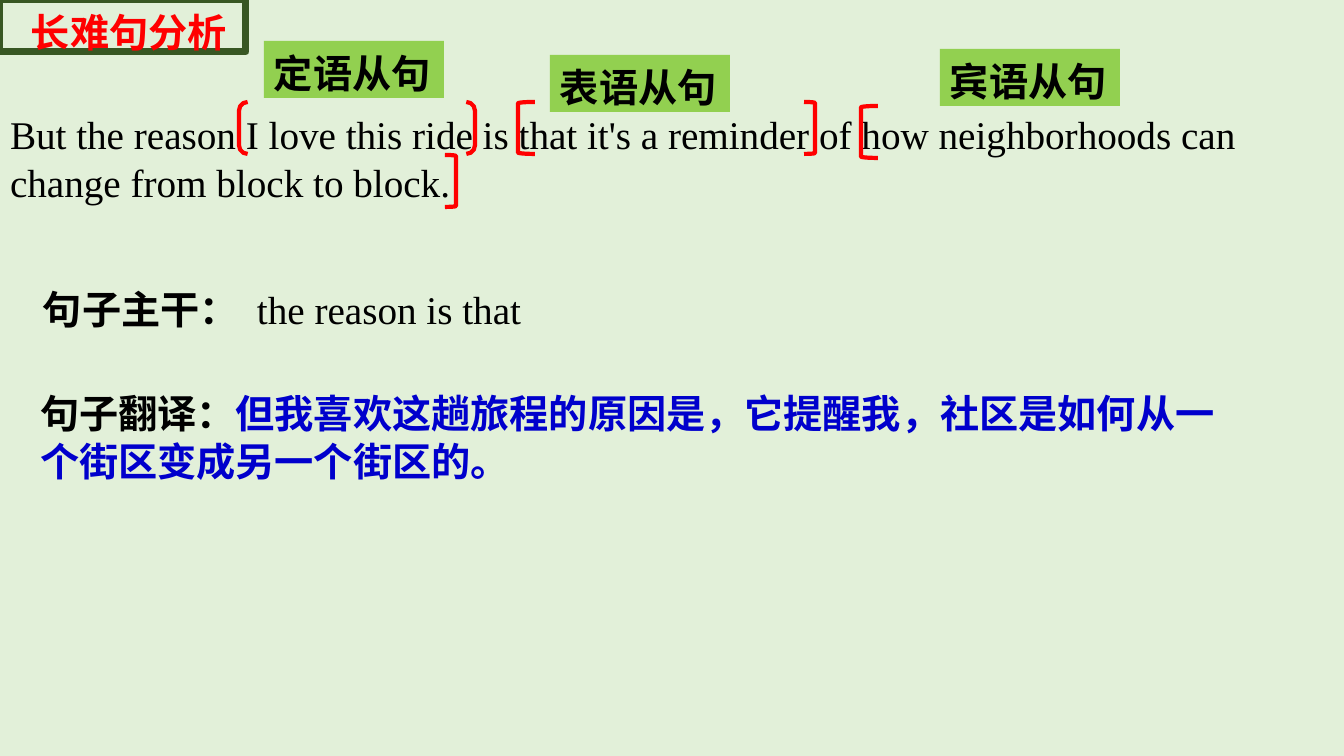
from dataclasses import dataclass

from pptx import Presentation
from pptx import util as u
from pptx.dml.color import RGBColor as Rgb
from pptx.enum import shapes, text
from pptx.oxml.ns import qn

KIND = shapes.MSO_SHAPE


@dataclass(frozen=True)
class Theme:
    page: str = "E2F0D9"
    tag: str = "92D050"
    frame: str = "385723"
    red: str = "FF0000"
    blue: str = "0000CC"
    ink: str = "000000"
    serif: str = "Times New Roman"
    sans: str = "Noto Sans CJK SC"
    size: int = 28
    lead: int = 34


T = Theme()


def px(n):
    return u.Emu(round(n * 914400 / 100.8))


def shape(slide, kind, box, fill=None, line=None, width=3):
    item = slide.shapes.add_shape(kind, *map(px, box))
    item.shadow.inherit = False
    if fill:
        item.fill.solid()
        item.fill.fore_color.rgb = Rgb.from_string(fill)
    else:
        item.fill.background()
    if line:
        item.line.color.rgb = Rgb.from_string(line)
        item.line.width = u.Pt(width)
    else:
        item.line.fill.background()
    return item


def write(item, runs, tab=None):
    """Fill a shape with one paragraph of (words, face, colour, bold) runs."""
    frame = item.text_frame
    frame.word_wrap = True
    frame.vertical_anchor = text.MSO_ANCHOR.TOP
    frame.margin_left = frame.margin_right = px(10)
    frame.margin_top, frame.margin_bottom = px(8), px(3)
    para = frame.paragraphs[0]
    para.alignment = text.PP_ALIGN.LEFT
    para.line_spacing = u.Pt(T.lead)
    if tab:
        stops = para._p.get_or_add_pPr().makeelement(qn("a:tabLst"), {})
        stop = stops.makeelement(qn("a:tab"), {"pos": str(px(tab)), "algn": "l"})
        stops.append(stop)
        para._p.pPr.append(stops)
    for words, face, color, bold in runs:
        run = para.add_run()
        run.text = words
        font = run.font
        font.name, font.size, font.bold = face, u.Pt(T.size), bold
        font.color.rgb = Rgb.from_string(color)
        props = run._r.get_or_add_rPr()
        east = props.makeelement(qn("a:ea"), {"typeface": T.sans})
        props.find(qn("a:latin")).addnext(east)


def label(slide, box, runs, tab=None):
    item = slide.shapes.add_textbox(*map(px, box))
    write(item, runs, tab)
    item.text_frame.auto_size = text.MSO_AUTO_SIZE.SHAPE_TO_FIT_TEXT


def tag(slide, left, top, words):
    item = shape(slide, KIND.RECTANGLE, (left, top, 180, 57), fill=T.tag)
    write(item, [(words, T.serif, T.ink, True)])


def main():
    deck = Presentation()
    deck.slide_width, deck.slide_height = px(1344), px(756)
    slide = deck.slides.add_slide(deck.slide_layouts[6])
    back = slide.background.fill
    back.solid()
    back.fore_color.rgb = Rgb.from_string(T.page)

    shape(slide, KIND.RECTANGLE, (0, 0, 246, 52), line=T.frame, width=5)
    label(slide, (21, 0, 219, 57), [("长难句分析", T.sans, T.red, True)])
    label(slide, (0, 102, 1344, 105), [
        ("But the reason I love this ride is that it's a reminder of how "
         "neighborhoods can change from block to block.",
         T.serif, T.ink, False)])
    label(slide, (33, 277, 501, 57), [
        ("句子主干：\t", T.sans, T.ink, True),
        ("the reason is that", T.serif, T.ink, False)], tab=214)
    label(slide, (30, 381, 1221, 105), [
        ("句子翻译：", T.sans, T.ink, True),
        ("但我喜欢这趟旅程的原因是，它提醒我，社区是如何从一个街区变成另一个街区的。",
         T.sans, T.blue, True)])

    for kind, left, top, width in (
            (KIND.DOUBLE_BRACKET, 239, 102, 236),
            (KIND.LEFT_BRACKET, 518, 102, 17),
            (KIND.RIGHT_BRACKET, 804, 102, 11),
            (KIND.LEFT_BRACKET, 861, 106, 17),
            (KIND.RIGHT_BRACKET, 445, 155, 11)):
        shape(slide, kind, (left, top, width, 52), line=T.red)

    for left, top, words in (
            (264, 41, "定语从句"), (550, 55, "表语从句"), (940, 49, "宾语从句")):
        tag(slide, left, top, words)

    deck.save("out.pptx")


if __name__ == "__main__":
    main()
